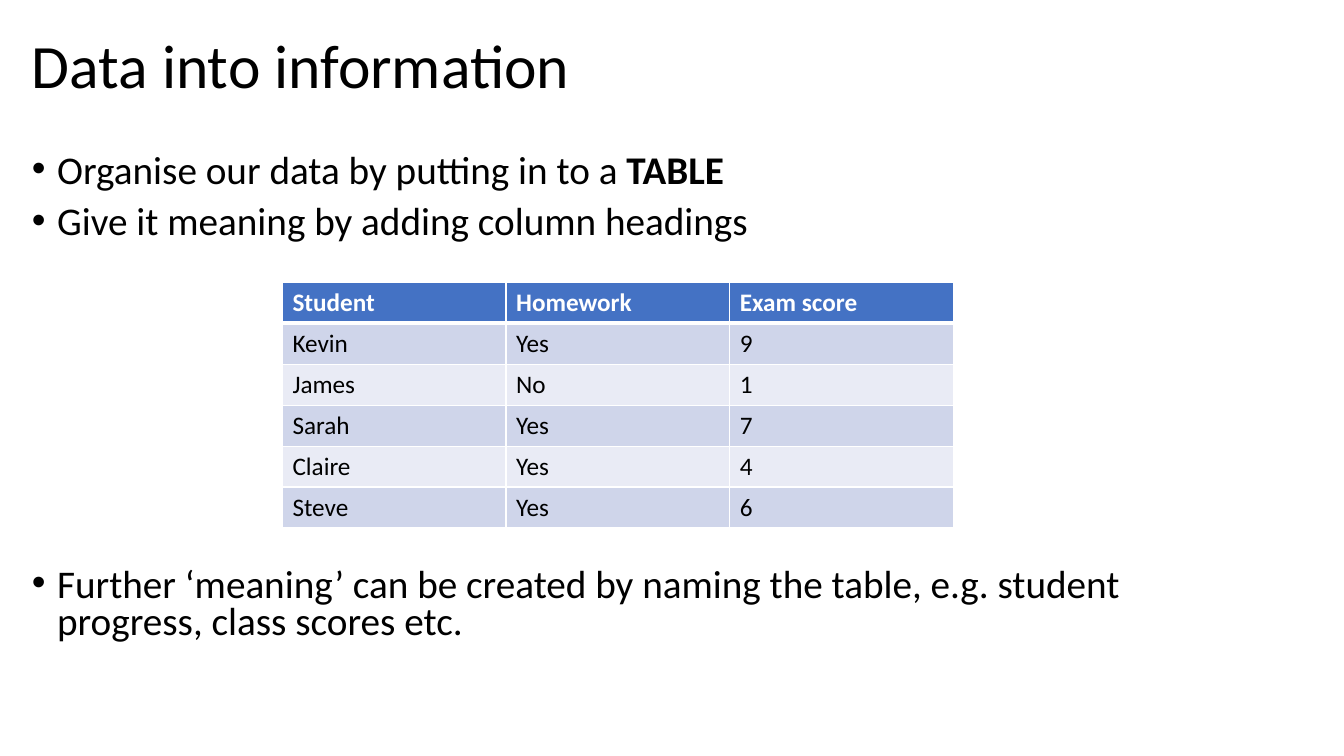
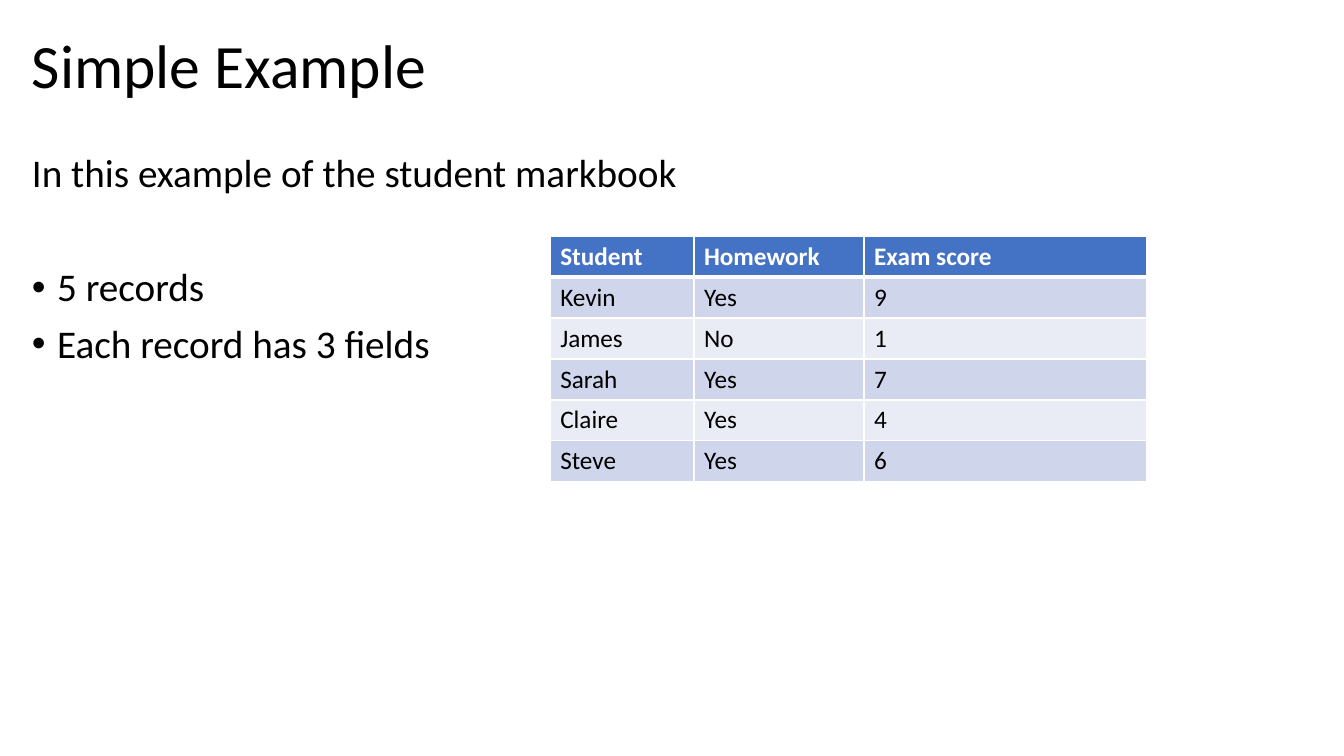
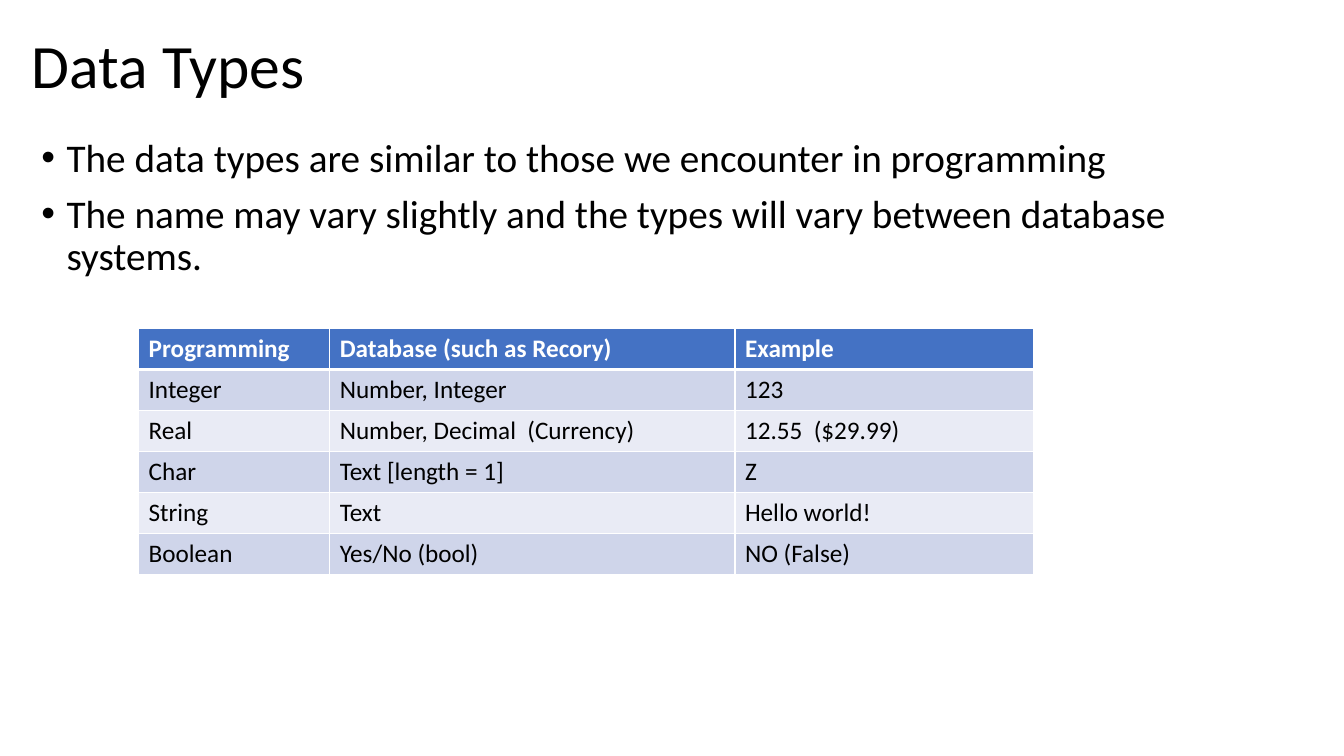
from dataclasses import dataclass
from pptx import Presentation as Deck
from pptx.dml.color import RGBColor as Rgb
from pptx.enum.text import MSO_ANCHOR as Anchor
from pptx.oxml import parse_xml
from pptx.oxml.ns import nsdecls
from pptx.util import Pt

PX = 9525


@dataclass(frozen=True)
class Theme:
    """Colours, font and type sizes of the deck."""
    font: str = "Calibri"
    ink: str = "000000"
    paper: str = "FFFFFF"
    head: str = "4472C4"
    bands: tuple = ("CFD5EA", "E9EBF5")
    title: int = 44
    body: int = 28
    cell: int = 18


@dataclass(frozen=True)
class Line:
    """One body paragraph; bold is its closing emphasis."""
    text: str
    bold: str = ""
    gap: int = 10
    bullet: bool = True


THEME = Theme()
WIDE, HIGH = 1104, 487
LEFT = 21
INDENT = 24
ROW = 39
MARKS = (
    ("Student", "Homework", "Exam score"),
    ("Kevin", "Yes", "9"),
    ("James", "No", "1"),
    ("Sarah", "Yes", "7"),
    ("Claire", "Yes", "4"),
    ("Steve", "Yes", "6"),
)
TYPES = (
    ("Programming", "Database (such as Recory)", "Example"),
    ("Integer", "Number, Integer", "123"),
    ("Real", "Number, Decimal  (Currency)", "12.55  ($29.99)"),
    ("Char", "Text [length = 1]", "Z"),
    ("String", "Text", "Hello world!"),
    ("Boolean", "Yes/No (bool)", "NO (False)"),
)


def put(item, **vals):
    """Set each named attribute on the item."""
    for name, val in vals.items():
        setattr(item, name, val)


def write(para, text, size, color=THEME.ink, bold=False):
    """Add a styled run to a paragraph."""
    run = para.add_run()
    run.text = text
    put(run.font, name=THEME.font, size=Pt(size), bold=bold)
    run.font.color.rgb = Rgb.from_string(color)


def frame(slide, *box):
    """Add a wrapping text box and return its frame."""
    text = slide.shapes.add_textbox(*(n * PX for n in box)).text_frame
    text.word_wrap = True
    return text


def title(slide, text):
    """Add the slide title."""
    area = frame(slide, LEFT, 14, WIDE, 103)
    area.vertical_anchor = Anchor.MIDDLE
    para = area.paragraphs[0]
    para.line_spacing = 0.9
    write(para, text, THEME.title)


def dot(para):
    """Give a paragraph a hanging bullet."""
    props = para._p.get_or_add_pPr()
    props.set("marL", str(INDENT * PX))
    props.set("indent", str(-INDENT * PX))
    for tag in ('buFont {} typeface="Arial"', 'buChar {} char="•"'):
        props.append(parse_xml("<a:" + tag.format(nsdecls("a")) + "/>"))


def body(slide, lines, left=LEFT, top=142, pitch=0.9):
    """Add the body text, one paragraph per line."""
    area = frame(slide, left, top, WIDE, HIGH)
    for i, line in enumerate(lines):
        para = area.add_paragraph() if i else area.paragraphs[0]
        put(para, line_spacing=pitch, space_before=Pt(line.gap))
        if line.bullet:
            dot(para)
        write(para, line.text, THEME.body)
        if line.bold:
            write(para, line.bold, THEME.body, bold=True)


def edge(cell, **sides):
    """Draw cell borders, with widths in points."""
    props = cell._tc.get_or_add_tcPr()
    for side, width in sides.items():
        props.append(parse_xml(
            f'<a:ln{side} {nsdecls("a")} w="{Pt(width)}"><a:solidFill>'
            f'<a:srgbClr val="{THEME.paper}"/></a:solidFill></a:ln{side}>'))


def table(slide, data, left, top, widths):
    """Add a table with a dark header and banded rows."""
    box = (left, top, sum(widths), ROW * len(data))
    grid = slide.shapes.add_table(
        len(data), len(widths), *(n * PX for n in box)).table
    grid.horz_banding = False
    for col, width in zip(grid.columns, widths):
        col.width = width * PX
    for r, texts in enumerate(data):
        grid.rows[r].height = ROW * PX
        first = r == 0
        fill = THEME.head if first else THEME.bands[(r - 1) % 2]
        ink = THEME.paper if first else THEME.ink
        for c, text in enumerate(texts):
            cell = grid.cell(r, c)
            edge(cell, L=1, R=1, T=3 if r == 1 else 1, B=3 if first else 1)
            cell.fill.solid()
            cell.fill.fore_color.rgb = Rgb.from_string(fill)
            write(cell.text_frame.paragraphs[0], text, THEME.cell, ink, first)


def page(deck, name):
    """Add a blank slide with a title."""
    slide = deck.slides.add_slide(deck.slide_layouts[6])
    title(slide, name)
    return slide


def main():
    """Build and save the deck."""
    deck = Deck()
    put(deck, slide_width=1280 * PX, slide_height=720 * PX)

    slide = page(deck, "Data into information")
    body(slide, (
        Line("Organise our data by putting in to a ", "TABLE"),
        Line("Give it meaning by adding column headings"),
        Line("Further ‘meaning’ can be created by naming the table, "
             "e.g. student progress, class scores etc.", gap=232),
    ), pitch=0.8)
    table(slide, MARKS, 269, 269, (213, 213, 213))

    slide = page(deck, "Simple Example")
    body(slide, (
        Line("In this example of the student markbook", bullet=False),
        Line("5 records", gap=51),
        Line("Each record has 3 fields"),
    ))
    table(slide, MARKS, 524, 225, (137, 162, 269))

    slide = page(deck, "Data Types")
    body(slide, (
        Line("The data types are similar to those we encounter in programming"),
        Line("The name may vary slightly and the types will vary "
             "between database systems."),
    ), left=30, top=127)
    table(slide, TYPES, 132, 313, (182, 386, 284))

    deck.save("out.pptx")


if __name__ == "__main__":
    main()
